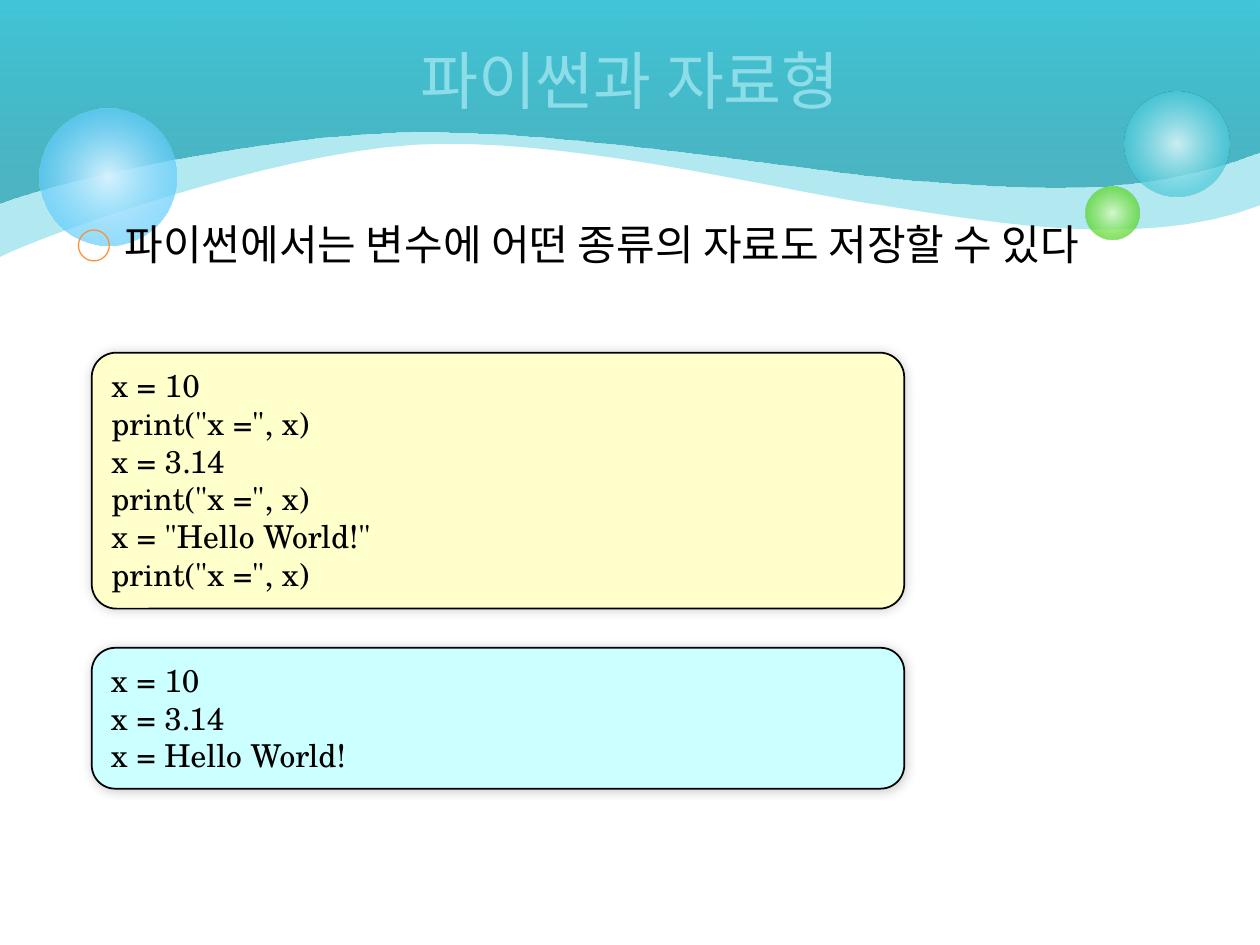
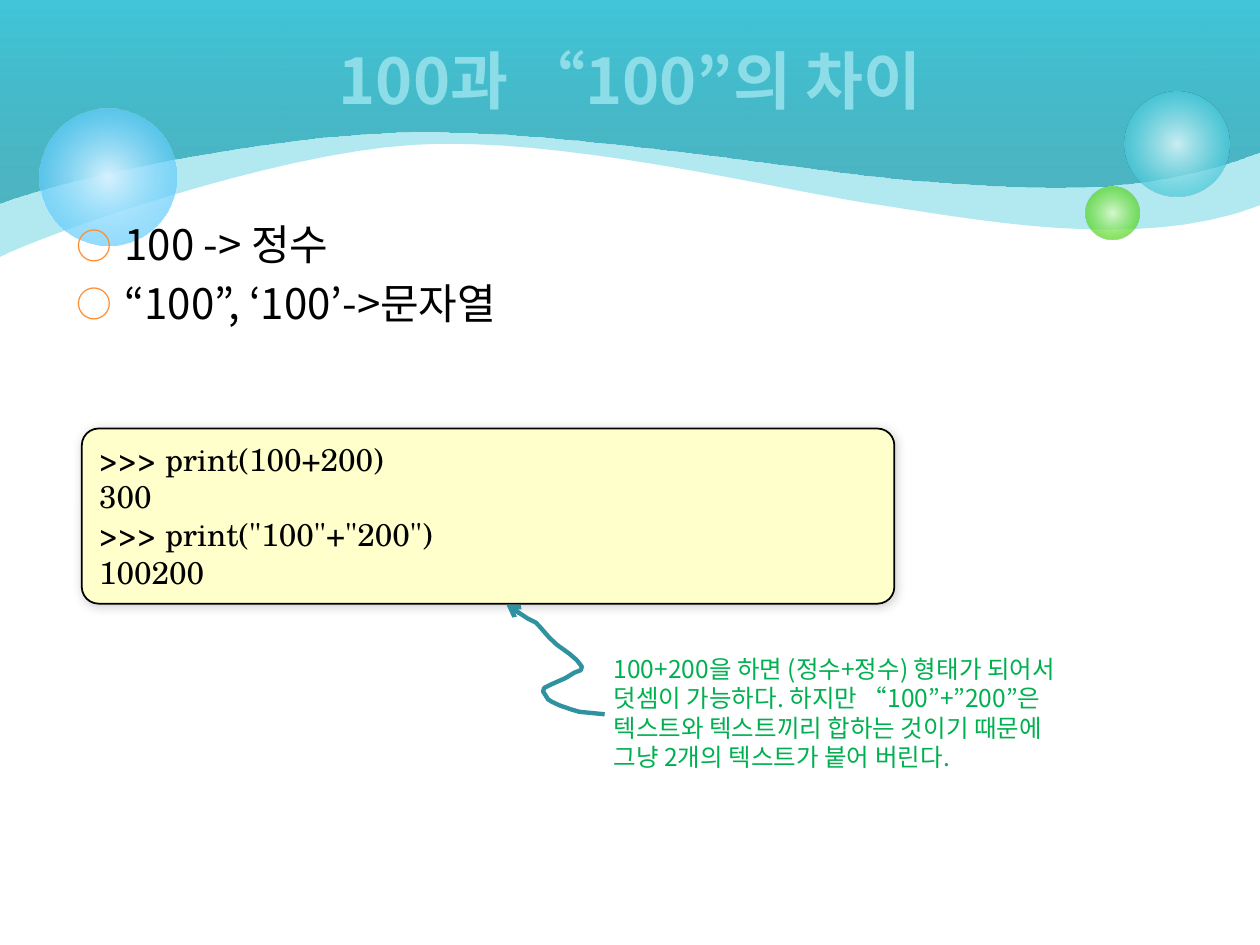
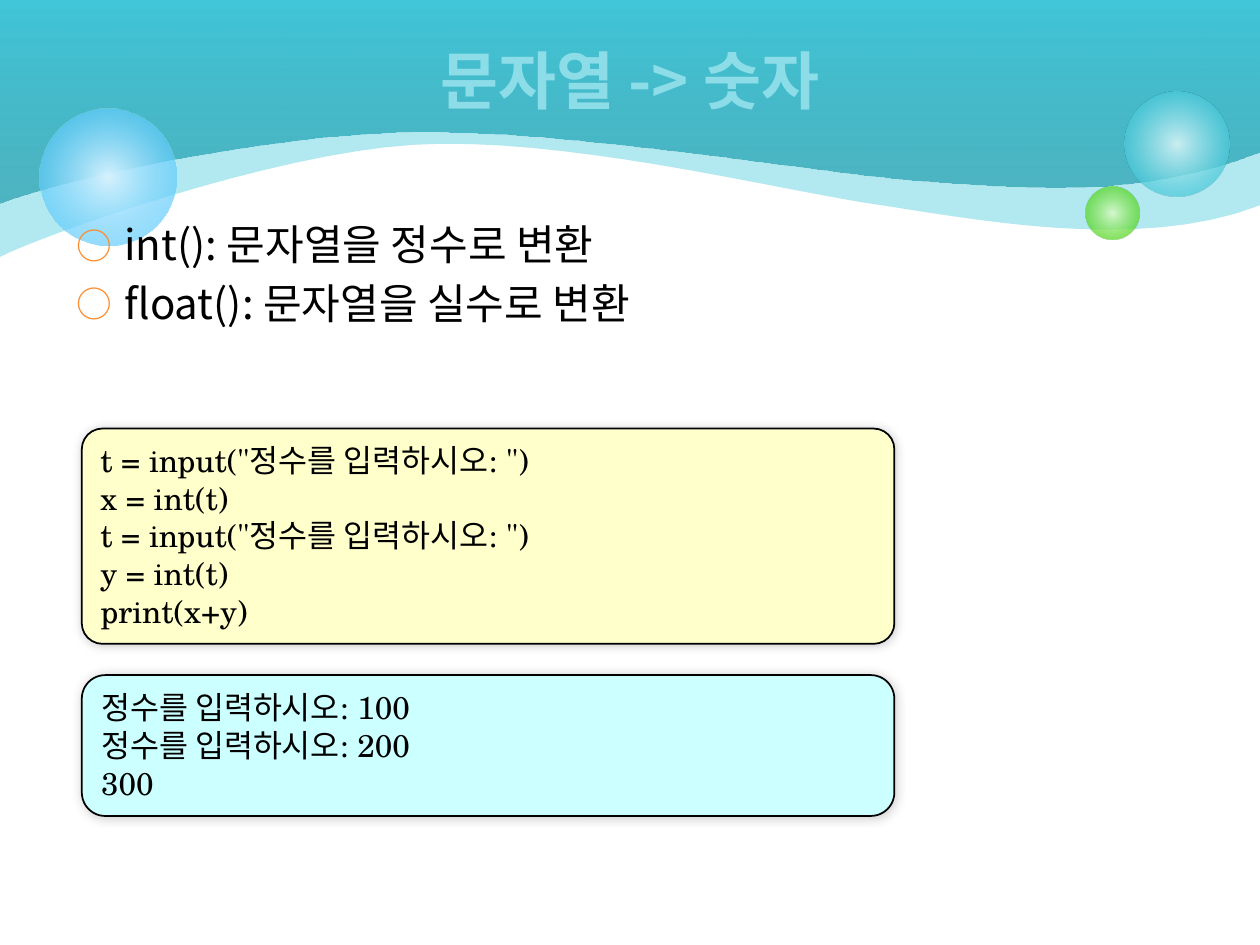
from lxml import etree
from pptx import Presentation
from pptx import util as u
from pptx.dml.color import RGBColor
from pptx.enum import shapes, text
from pptx.oxml.ns import qn

KOREAN, CODE = "Noto Sans CJK KR", "TeX Gyre Schola"
BLACK, TITLE, TEAL, ICE = "000000", "8CDDE8", "40C6D8", "D9F4F7"
BULLET, NOTE, ARROW = "FE8C2E", "00B050", "2F92A0"
YELLOW, CYAN = "FFFFCC", "CCFFFF"

# Lower edges of the two header waves: start point, then cubic curves (cm)
PALE_WAVE = [(0, 5.18),
             (0.84, 4.75), (5.44, 3.1), (8.33, 2.92),
             (11.25, 2.74), (15.39, 3.76), (17.45, 4.09),
             (19.51, 4.39), (22.91, 5.11), (25.4, 4.14)]
DEEP_WAVE = [(0, 4.11),
             (1.14, 3.66), (5.16, 2.74), (8.28, 2.67),
             (11.4, 2.59), (16.71, 3.53), (18.72, 3.66),
             (20.73, 3.78), (22.91, 4.04), (25.4, 3.07)]
# Bubbles: left, top, diameter (cm), gradient stops (position, colour, opacity)
BUBBLES = [
    (22.68, 1.85, 2.11, [(0, ICE, 90), (76, TEAL, 70)]),
    (21.89, 3.76, 1.07, [(0, "DAFACD", 90), (76, "4CD416", 70)]),
    (0.79, 2.18, 2.77, [(0, "D6F2FE", 100), (100, "33BDFB", 54)]),
]
# Hand-drawn arrow from the note to the code box (cm)
SCRIBBLE = [(12.19, 14.4), (11.68, 14.35), (11.51, 14.3), (11.28, 14.22), (11.13, 14.15),
            (11.05, 14.1), (10.95, 13.94), (10.97, 13.87), (11.13, 13.79), (11.4, 13.67),
            (11.58, 13.56), (11.71, 13.51), (11.73, 13.44), (11.63, 13.31), (11.48, 13.18),
            (11.23, 13), (11.07, 12.85), (10.87, 12.62), (10.8, 12.55), (10.64, 12.47),
            (10.41, 12.32), (10.21, 12.19)]


def rgb(value):
    return RGBColor.from_string(value)


def child(parent, tag, **attributes):
    values = {key: str(value) for key, value in attributes.items()}
    return etree.SubElement(parent, qn(tag), values)


def box(*lengths):
    return [u.Cm(length) for length in lengths]


def curve(points, steps=16):
    """Follow a chain of cubic curves with short straight steps."""
    outline = [points[0]]
    for i in range(0, len(points) - 1, 3):
        a, b, c, d = points[i:i + 4]
        for t in (n / steps for n in range(1, steps + 1)):
            s = 1 - t
            outline.append(tuple(
                s**3 * p + 3 * s * s * t * q + 3 * s * t * t * r + t**3 * v
                for p, q, r, v in zip(a, b, c, d)))
    return outline


def write(frame, lines, size=18, color=BLACK, font=KOREAN, bold=False,
          align=text.PP_ALIGN.LEFT, anchor=text.MSO_ANCHOR.TOP, bullets=False):
    frame.word_wrap = True
    frame.vertical_anchor = anchor
    for i, line in enumerate(lines):
        paragraph = frame.paragraphs[0] if i == 0 else frame.add_paragraph()
        paragraph.alignment = align
        run = paragraph.add_run()
        run.text = line
        run.font.size, run.font.bold, run.font.name = u.Pt(size), bold, font
        run.font.color.rgb = rgb(color)
        child(run.font._element, "a:ea", typeface=KOREAN)
        if bullets:
            paragraph.space_before = u.Pt(4.5)
            layout = paragraph._p.get_or_add_pPr()
            layout.set("marL", str(u.Cm(0.96)))
            layout.set("indent", str(-u.Cm(0.96)))
            child(child(layout, "a:buClr"), "a:srgbClr", val=BULLET)
            child(layout, "a:buSzPct", val=85000)
            child(layout, "a:buFont", typeface=KOREAN)
            child(layout, "a:buChar", char="○")


class Deck:
    def __init__(self):
        self.show = Presentation()
        self.show.slide_width, self.show.slide_height = box(25.4, 19.05)
        self.slide = None

    def new_slide(self, title, topics, bold=True):
        self.slide = self.show.slides.add_slide(self.show.slide_layouts[6])
        # Header waves
        self.wave(PALE_WAVE, [(0, TEAL, 40), (100, TEAL, 40)])
        self.wave(DEEP_WAVE, [(0, "249EAE", 69), (100, TEAL, 100)])
        # Bubbles
        for left, top, diameter, stops in BUBBLES:
            bubble = self.shape(shapes.MSO_SHAPE.OVAL, left, top, diameter, diameter)
            self.gradient(bubble, stops, round_=True)
        # Topics and title
        self.label(topics, 1.3, 4.29, 22.86, 12.57, size=24, bullets=True)
        self.label([title], 1.27, 0, 22.86, 3.18, size=36, color=TITLE, bold=bold,
                   align=text.PP_ALIGN.CENTER, anchor=text.MSO_ANCHOR.MIDDLE)

    def shape(self, kind, *place):
        item = self.slide.shapes.add_shape(kind, *box(*place))
        item.shadow.inherit = False
        item.line.fill.background()
        return item

    def outline(self, points, close):
        start, *rest = [box(*point) for point in points]
        builder = self.slide.shapes.build_freeform(*start)
        builder.add_line_segments(rest, close=close)
        item = builder.convert_to_shape()
        item.shadow.inherit = False
        return item

    def wave(self, edge, stops):
        item = self.outline([(0, 0), *curve(edge), (25.4, 0)], close=True)
        item.line.fill.background()
        self.gradient(item, stops)

    def gradient(self, item, stops, round_=False):
        item.fill.solid()
        properties = item._element.spPr
        solid = properties.find(qn("a:solidFill"))
        fill = etree.Element(qn("a:gradFill"), rotWithShape="1")
        stop_list = child(fill, "a:gsLst")
        for position, color, opacity in stops:
            stop = child(stop_list, "a:gs", pos=position * 1000)
            child(child(stop, "a:srgbClr", val=color), "a:alpha", val=opacity * 1000)
        if round_:
            center = dict.fromkeys("ltrb", 50000)
            child(child(fill, "a:path", path="circle"), "a:fillToRect", **center)
        else:
            child(fill, "a:lin", ang=270 * 60000, scaled=0)
        properties.replace(solid, fill)

    def label(self, lines, *place, **style):
        item = self.slide.shapes.add_textbox(*box(*place))
        write(item.text_frame, lines, **style)
        return item

    def panel(self, kind, color, lines, left, top, height):
        item = self.shape(kind, left, top, 16.38, height)
        item.fill.solid()
        item.fill.fore_color.rgb = rgb(color)
        item.line.color.rgb = rgb(BLACK)
        item.line.width = u.Pt(1)
        effects = item._element.spPr.find(qn("a:effectLst"))
        glow = child(effects, "a:outerShdw", blurRad=u.Pt(6), dist=0, dir=315 * 60000)
        child(child(glow, "a:srgbClr", val=BLACK), "a:alpha", val=20000)
        write(item.text_frame, lines, font=CODE)
        return item

    def code(self, lines, left, top, height):
        item = self.panel(shapes.MSO_SHAPE.ROUNDED_RECTANGLE, YELLOW, lines, left, top, height)
        item.adjustments[0] = 0.096

    def output(self, lines, left, top):
        self.panel(shapes.MSO_SHAPE.FLOWCHART_ALTERNATE_PROCESS, CYAN, lines, left, top, 2.84)

    def note(self, line, *place):
        item = self.label([line], *place, size=14, color=NOTE)
        item.text_frame.auto_size = text.MSO_AUTO_SIZE.SHAPE_TO_FIT_TEXT

    def scribble(self, points):
        item = self.outline(points, close=False)
        item.fill.background()
        item.line.color.rgb = rgb(ARROW)
        item.line.width = u.Pt(2.5)
        child(item.line._get_or_add_ln(), "a:tailEnd", type="arrow")


def main():
    deck = Deck()

    # Variables hold any type
    deck.new_slide("파이썬과 자료형", ["파이썬에서는 변수에 어떤 종류의 자료도 저장할 수 있다"], bold=False)
    values = ["10", "3.14", '"Hello World!"']
    program = [line for value in values for line in (f"x = {value}", 'print("x =", x)')]
    deck.code(program, 1.85, 7.11, 5.16)
    deck.output(["x = " + value.strip('"') for value in values], 1.85, 13.06)

    # Number against string
    deck.new_slide("100과 “100”의 차이", ["100 -> 정수", "“100”, ‘100’->문자열"])
    deck.code([">>> print(100+200)", "300", '>>> print("100"+"200")', "100200"],
              1.65, 8.64, 3.53)
    deck.note("100+200을 하면 (정수+정수) 형태가 되어서 덧셈이 가능하다. 하지만 “100”+”200”은 "
              "텍스트와 텍스트끼리 합하는 것이기 때문에 그냥 2개의 텍스트가 붙어 버린다.",
              12.12, 13.06, 9.91, 3.25)
    deck.scribble(SCRIBBLE)

    # String to number
    deck.new_slide("문자열 -> 숫자", ["int(): 문자열을 정수로 변환", "float(): 문자열을 실수로 변환"])
    prompt = "정수를 입력하시오: "
    ask = f't = input("{prompt}")'
    deck.code([ask, "x = int(t)", ask, "y = int(t)", "print(x+y)"], 1.65, 8.64, 4.34)
    deck.output([prompt + "100", prompt + "200", "300"], 1.65, 13.61)

    deck.show.save("out.pptx")


if __name__ == "__main__":
    main()
